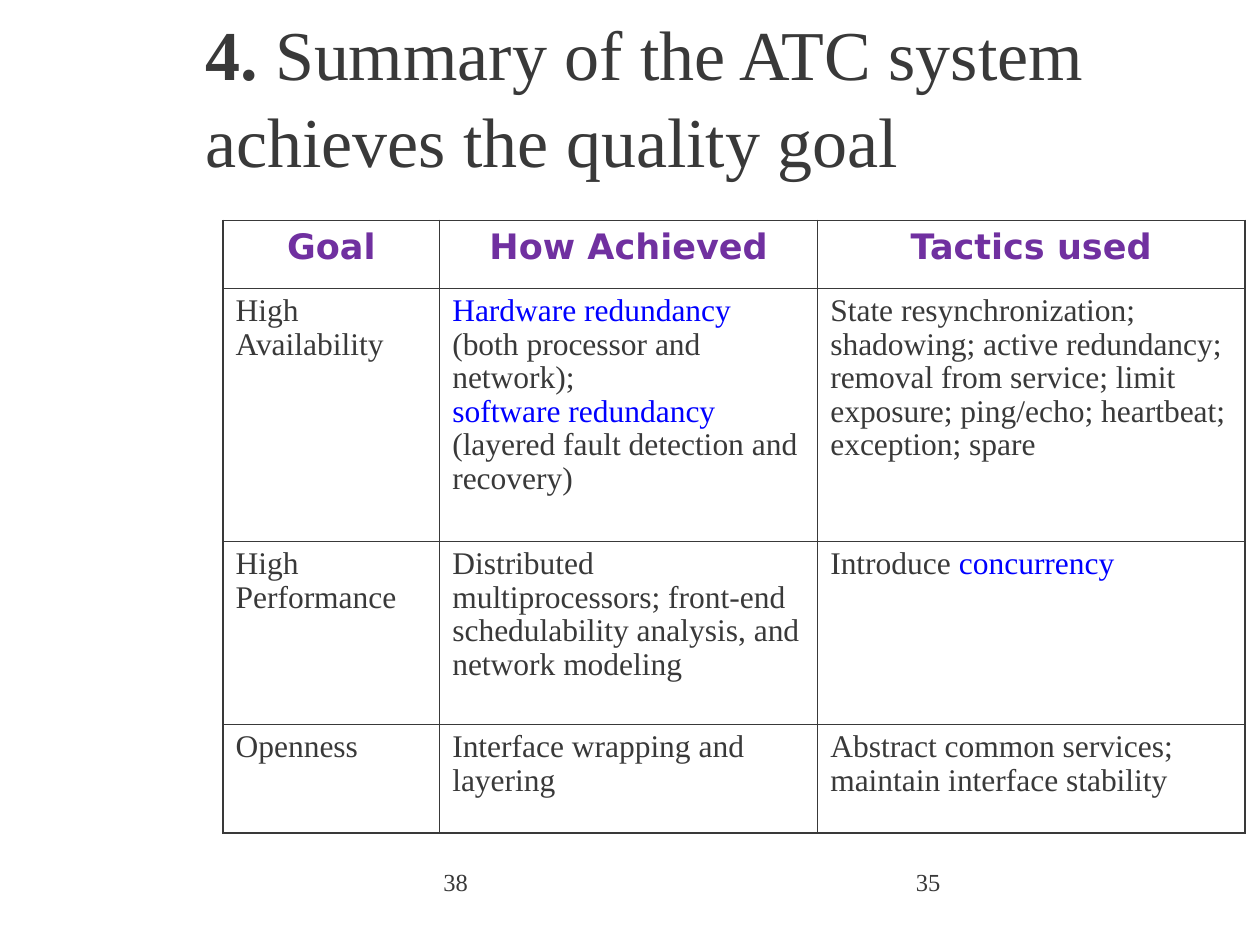
from lxml import etree
from pptx import Presentation
from pptx.dml.color import RGBColor
from pptx.enum import text
from pptx.oxml.ns import qn
from pptx.util import Inches, Pt

INK = RGBColor(0x39, 0x39, 0x39)
BLUE = RGBColor(0x00, 0x00, 0xFF)
PURPLE = RGBColor(0x70, 0x30, 0xA0)
SERIF, SANS = "Times New Roman", "DejaVu Sans"
THIN, THICK = 0.45, 1.08

# A paragraph is a list of (words, colour) spans; a cell is a list of paragraphs.
HEADINGS = ["Goal", "How Achieved", "Tactics used"]
GOALS = [
    [
        [[("High Availability", INK)]],
        [
            [("Hardware redundancy", BLUE), (" (both processor and network);", INK)],
            [("software redundancy ", BLUE),
             ("(layered fault detection and recovery)", INK)],
        ],
        [[("State resynchronization; shadowing; active redundancy; removal from "
           "service; limit exposure; ping/echo; heartbeat; exception; spare", INK)]],
    ],
    [
        [[("High Performance", INK)]],
        [[("Distributed multiprocessors; front-end schedulability analysis, "
           "and network modeling", INK)]],
        [[("Introduce ", INK), ("concurrency", BLUE)]],
    ],
    [
        [[("Openness", INK)]],
        [[("Interface wrapping and layering", INK)]],
        [[("Abstract common services; maintain interface stability", INK)]],
    ],
]
COLUMN_WIDTHS = [1.72, 3, 3.39]
ROW_HEIGHTS = [0.54, 2.01, 1.45, 0.86]
NUMBERS = [("38", 3.42, 3.17), ("35", 7.17, 2.33)]


def add_span(para, words, size, colour=INK, font=SERIF, bold=False):
    span = para.add_run()
    span.text = words
    span.font.size = Pt(size)
    span.font.name = font
    span.font.bold = bold
    span.font.color.rgb = colour


def add_box(page, left, top, width, height):
    box = page.shapes.add_textbox(*map(Inches, (left, top, width, height)))
    box.text_frame.word_wrap = True
    return box.text_frame


def set_borders(cell, widths):
    """Draw the left, right, top and bottom borders, in that order."""
    properties = cell._tc.get_or_add_tcPr()
    for position, (side, width) in enumerate(zip("LRTB", widths)):
        line = etree.Element(qn(f"a:ln{side}"), w=str(Pt(width)))
        fill = etree.SubElement(line, qn("a:solidFill"))
        etree.SubElement(fill, qn("a:srgbClr"), val=str(INK))
        properties.insert(position, line)


def fill_cell(cell, paragraphs):
    frame = cell.text_frame
    for index, spans in enumerate(paragraphs):
        para = frame.paragraphs[0] if index == 0 else frame.add_paragraph()
        para.line_spacing = 0.96
        for words, colour in spans:
            add_span(para, words, 18, colour)


def add_goal_table(page):
    rows, columns = len(ROW_HEIGHTS), len(COLUMN_WIDTHS)
    frame = page.shapes.add_table(
        rows, columns, Inches(1.77), Inches(1.75),
        Inches(sum(COLUMN_WIDTHS)), Inches(sum(ROW_HEIGHTS)))
    table = frame.table
    table.first_row = table.horz_banding = False
    for column, width in zip(table.columns, COLUMN_WIDTHS):
        column.width = Inches(width)
    for row, height in zip(table.rows, ROW_HEIGHTS):
        row.height = Inches(height)

    for r in range(rows):
        for c in range(columns):
            cell = table.cell(r, c)
            cell.fill.background()
            outer = (c == 0, c == columns - 1, r == 0, r == rows - 1)
            set_borders(cell, [THICK if edge else THIN for edge in outer])
            if r > 0:
                fill_cell(cell, GOALS[r - 1][c])
                continue
            para = cell.text_frame.paragraphs[0]
            para.alignment = text.PP_ALIGN.CENTER
            add_span(para, HEADINGS[c], 20, PURPLE, SANS, bold=True)


def main():
    deck = Presentation()
    deck.slide_width, deck.slide_height = Inches(10), Inches(7.5)
    page = deck.slides.add_slide(deck.slide_layouts[6])

    title = add_box(page, 1.53, 0.03, 8.35, 1.44)
    title.vertical_anchor = text.MSO_ANCHOR.MIDDLE
    para = title.paragraphs[0]
    para.line_spacing = 1.04
    add_span(para, "4. ", 40, bold=True)
    add_span(para, "Summary of the ATC system achieves the quality goal", 40)

    add_goal_table(page)

    for number, left, width in NUMBERS:
        frame = add_box(page, left, 6.83, width, 0.5)
        add_span(frame.paragraphs[0], number, 14)

    deck.save("out.pptx")


if __name__ == "__main__":
    main()
